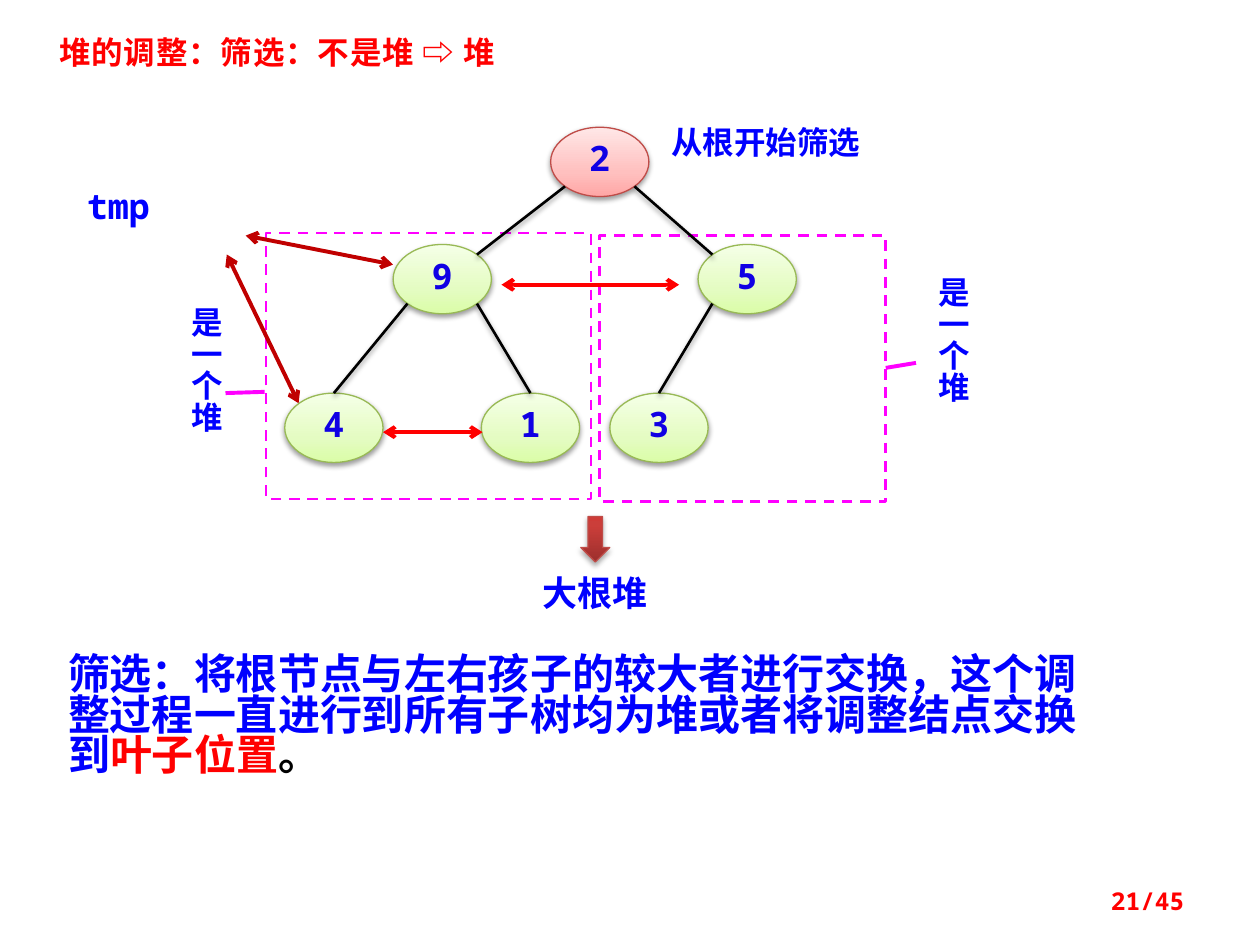
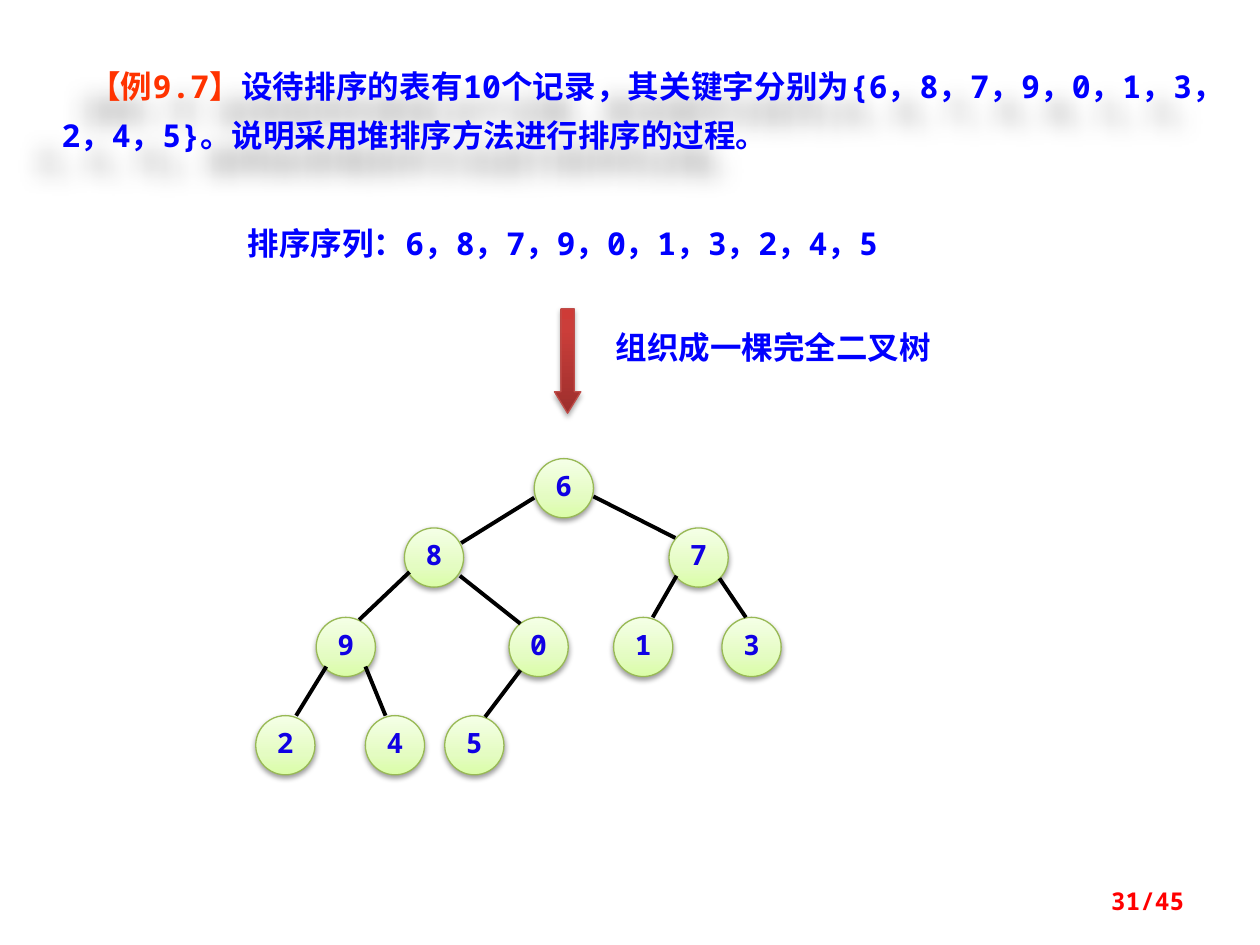
from math import sqrt

from pptx import Presentation
from pptx.dml.color import RGBColor
from pptx.enum.dml import MSO_LINE
from pptx.enum.shapes import MSO_CONNECTOR, MSO_SHAPE
from pptx.enum.text import MSO_ANCHOR as ANCHOR, PP_ALIGN as ALIGN
from pptx.oxml import parse_xml
from pptx.oxml.ns import nsdecls, qn
from pptx.util import Inches, Pt

MONO, CJK, SANS = "Noto Sans Mono", "Noto Sans CJK SC", "Calibri"
BLUE, RED, BLACK, WHITE = "0000FF", "FF0000", "000000", "FFFFFF"
KEY_BLUE, MAGENTA, DARK_RED, ORANGE = "1000E4", "FF00FF", "C00000", "FF3300"
GREEN_NODE = ([(0, "DAFDA7"), (35, "E4FCC2"), (100, "F5FFE7")], "98B955")
PINK_NODE = ([(0, "FFA6A5"), (35, "FFC0BF"), (100, "FFE7E7")], "BF4C48")
RED_ARROW = ([(0, "9C2F2D"), (80, "CB3E3A"), (100, "CE3B37")], "BF4C48")
NODE_SHADOW = dict(alpha=38, blur=3.1, dist=1.6)
ARROW_SHADOW = dict(alpha=35, blur=3.1, dist=1.8)
TEXT_SHADOW = dict(alpha=35, blur=13, dist=20, angle=135)


def color(code):
    return RGBColor.from_string(code)


def set_effects(shape, alpha=None, blur=0, dist=0, angle=90):
    props = shape._element.spPr
    for old in props.findall(qn("a:effectLst")):
        props.remove(old)
    shadow = ""
    if alpha:
        shadow = (f'<a:outerShdw blurRad="{Pt(blur)}" dist="{Pt(dist)}" dir="{angle * 60000}" '
                  f'algn="ctr" rotWithShape="0"><a:srgbClr val="000000">'
                  f'<a:alpha val="{alpha * 1000}"/></a:srgbClr></a:outerShdw>')
    props.append(parse_xml(f'<a:effectLst {nsdecls("a")}>{shadow}</a:effectLst>'))


def set_gradient(shape, stops):
    shape.fill.gradient()
    gradient = shape._element.spPr.find(qn("a:gradFill"))
    stop_list = gradient.find(qn("a:gsLst"))
    for old in list(stop_list):
        stop_list.remove(old)
    for position, code in stops:
        stop_list.append(parse_xml(f'<a:gs {nsdecls("a")} pos="{position * 1000}">'
                                   f'<a:srgbClr val="{code}"/></a:gs>'))
    gradient.find(qn("a:lin")).set("ang", str(270 * 60000))


def write(frame, text, size=18, ink=BLUE, font=MONO, align=ALIGN.LEFT,
          anchor=ANCHOR.TOP, spacing=None, tracking=0, wrap=True):
    frame.word_wrap = wrap
    frame.vertical_anchor = anchor
    paragraph = frame.paragraphs[0]
    paragraph.alignment = align
    paragraph.line_spacing = spacing
    pieces = [(text, ink)] if isinstance(text, str) else text
    for words, code in pieces:
        run = paragraph.add_run()
        run.text = words
        run.font.size = Pt(size)
        run.font.bold = True
        run.font.name = font
        run.font.color.rgb = color(code)
        props = run._r.get_or_add_rPr()
        props.append(parse_xml(f'<a:ea {nsdecls("a")} typeface="{CJK}"/>'))
        if tracking:
            props.set("spc", str(int(tracking * 100)))
    return paragraph


def add_text(slide, box, text, **style):
    label = slide.shapes.add_textbox(*map(Inches, box))
    write(label.text_frame, text, **style)
    return label


def add_vertical_text(slide, box, text):
    label = add_text(slide, box, text, spacing=0.8)
    label.text_frame._txBody.bodyPr.set("vert", "eaVert")


def add_line(slide, start, end, ink=BLACK, width=2.25, arrows=False, shadow=None):
    line = slide.shapes.add_connector(MSO_CONNECTOR.STRAIGHT, *map(Inches, (*start, *end)))
    line.line.color.rgb = color(ink)
    line.line.width = Pt(width)
    if arrows:
        outline = line.line._get_or_add_ln()
        for tag in ("headEnd", "tailEnd"):
            outline.append(parse_xml(f'<a:{tag} {nsdecls("a")} type="arrow"/>'))
    set_effects(line, **(shadow or {}))


def add_gradient_shape(slide, preset, box, look, shadow):
    stops, outline = look
    shape = slide.shapes.add_shape(preset, *map(Inches, box))
    set_gradient(shape, stops)
    shape.line.color.rgb = color(outline)
    shape.line.width = Pt(0.75)
    set_effects(shape, **shadow)
    return shape


def add_node(slide, key, box, size, look=GREEN_NODE, wrap=True):
    node = add_gradient_shape(slide, MSO_SHAPE.OVAL, box, look, NODE_SHADOW)
    write(node.text_frame, key, size=size, ink=KEY_BLUE, align=ALIGN.CENTER,
          anchor=ANCHOR.MIDDLE, spacing=0.8, wrap=wrap)


def add_down_arrow(slide, box, head=0.5):
    arrow = add_gradient_shape(slide, MSO_SHAPE.DOWN_ARROW, box, RED_ARROW, ARROW_SHADOW)
    arrow.adjustments[1] = head


def add_subheap(slide, box, label_box, tie_start, tie_end):
    frame = slide.shapes.add_shape(MSO_SHAPE.RECTANGLE, *map(Inches, box))
    frame.shadow.inherit = False
    frame.fill.background()
    frame.line.color.rgb = color(MAGENTA)
    frame.line.width = Pt(1.5)
    frame.line.dash_style = MSO_LINE.DASH
    add_vertical_text(slide, label_box, "是一个堆")
    add_line(slide, tie_start, tie_end, MAGENTA)


def add_slide(deck, number):
    slide = deck.slides.add_slide(deck.slide_layouts[6])
    add_text(slide, (7.17, 6.95, 2.33, 0.4), f"{number}/45", size=14, ink=RED,
             align=ALIGN.RIGHT, anchor=ANCHOR.MIDDLE)
    return slide


def add_heap_tree(slide):
    width, height = 0.78, 0.55
    nodes = {"2": (4.37, 1.01), "9": (3.12, 1.94), "5": (5.54, 1.94),
             "4": (2.26, 3.12), "1": (3.82, 3.12), "3": (4.84, 3.12)}
    for key, corner in nodes.items():
        add_node(slide, key, (*corner, width, height), 20,
                 PINK_NODE if key == "2" else GREEN_NODE)

    def rim(key, across, down):
        left, top = nodes[key]
        return left + width / 2 * (1 + across), top + height / 2 * (1 + down)

    diagonal = 1 / sqrt(2)
    for parent, child, side in (("9", "4", -1), ("9", "1", 1), ("5", "3", -1),
                                ("2", "9", -1), ("2", "5", 1)):
        start = rim(parent, side * diagonal, diagonal)
        end = rim(child, -side * diagonal, -diagonal) if parent == "2" else rim(child, 0, -1)
        add_line(slide, start, end, width=1.5, shadow=NODE_SHADOW)


def build_sifting(deck):
    slide = add_slide(deck, 21)
    add_subheap(slide, (2.11, 1.85, 2.58, 2.11), (1.34, 2.34, 0.44, 1.56),
                (1.79, 3.12), (2.1, 3.11))
    add_subheap(slide, (4.76, 1.87, 2.27, 2.11), (7.27, 2.1, 0.44, 1.56),
                (7.03, 2.92), (7.27, 2.88))
    add_heap_tree(slide)
    add_text(slide, (0.37, 0.21, 5.02, 0.4), "堆的调整：筛选：不是堆 ⇨ 堆",
             ink=RED, tracking=0.5)
    add_text(slide, (5.23, 0.93, 2.03, 0.4), "从根开始筛选")
    add_down_arrow(slide, (4.61, 4.1, 0.23, 0.36))
    add_text(slide, (4.06, 4.55, 1.33, 0.37), "大根堆", size=20,
             align=ALIGN.CENTER, spacing=0.8)
    add_text(slide, (0.47, 1.48, 0.94, 0.38), "tmp", size=20,
             align=ALIGN.CENTER, spacing=0.8)
    for start, end, ink in (((3.98, 2.26), (5.39, 2.26), RED),
                            ((3.04, 3.43), (3.83, 3.43), RED),
                            ((1.95, 1.87), (3.12, 2.1), DARK_RED),
                            ((1.8, 2.02), (2.37, 3.2), DARK_RED)):
        add_line(slide, start, end, ink, arrows=True)
    rule = add_text(slide, (0.3, 5.1, 8.36, 1.21), [
        ("筛选：将根节点与左右孩子的较大者进行交换，这个调整过程一直进行到"
         "所有子树均为堆或者将调整结点交换到", BLUE),
        ("叶子位置", RED), ("。", BLACK)], size=24, font=SANS, spacing=0.8)
    rule.fill.solid()
    rule.fill.fore_color.rgb = color(WHITE)
    frame = rule.text_frame
    frame.margin_left = Inches(0.24)
    frame.margin_top = frame.margin_bottom = Inches(0.12)


def add_complete_tree(slide):
    diameter = 0.47
    edges = (((4.24, 3.95), (3.66, 4.31)), ((4.71, 3.94), (5.36, 4.27)),
             ((3.25, 4.54), (2.85, 4.92)), ((3.65, 4.57), (4.13, 4.95)),
             ((5.37, 4.57), (5.18, 4.9)), ((5.71, 4.59), (5.92, 4.9)),
             ((2.59, 5.29), (2.35, 5.68)), ((2.9, 5.29), (3.06, 5.68)),
             ((4.13, 5.32), (3.85, 5.69)))
    levels = ((3.64, {"6": 4.24}),
              (4.19, {"8": 3.21, "7": 5.31}),
              (4.9, {"9": 2.51, "0": 4.04, "1": 4.87, "3": 5.73}),
              (5.68, {"2": 2.03, "4": 2.9, "5": 3.53}))
    for top, keys in levels:
        for key, left in keys.items():
            add_node(slide, key, (left, top, diameter, diameter), 16, wrap=False)
    for start, end in edges:
        add_line(slide, start, end)


def build_example(deck):
    slide = add_slide(deck, 31)
    records = "6，8，7，9，0，1，3，2，4，5"
    problem = slide.shapes.add_textbox(*map(Inches, (0.39, 0.39, 9.42, 0.89)))
    paragraph = write(problem.text_frame, [
        ("【例9.7】", ORANGE),
        (f"设待排序的表有10个记录，其关键字分别为{{{records}}}。"
         "说明采用堆排序方法进行排序的过程。", BLUE)],
        align=ALIGN.JUSTIFY, spacing=Pt(28))
    paragraph._p.get_or_add_pPr().set("indent", str(Inches(0.22)))
    set_effects(problem, **TEXT_SHADOW)
    add_text(slide, (1.87, 1.79, 6.56, 0.34), f"排序序列：{records}", spacing=0.8)
    add_complete_tree(slide)
    add_down_arrow(slide, (4.4, 2.45, 0.21, 0.83), head=0.814)
    add_text(slide, (4.79, 2.61, 3.94, 0.34), "组织成一棵完全二叉树", font=CJK, spacing=0.8)


def main():
    deck = Presentation()
    deck.slide_width, deck.slide_height = Inches(10), Inches(7.5)
    build_sifting(deck)
    build_example(deck)
    deck.save("out.pptx")


if __name__ == "__main__":
    main()
